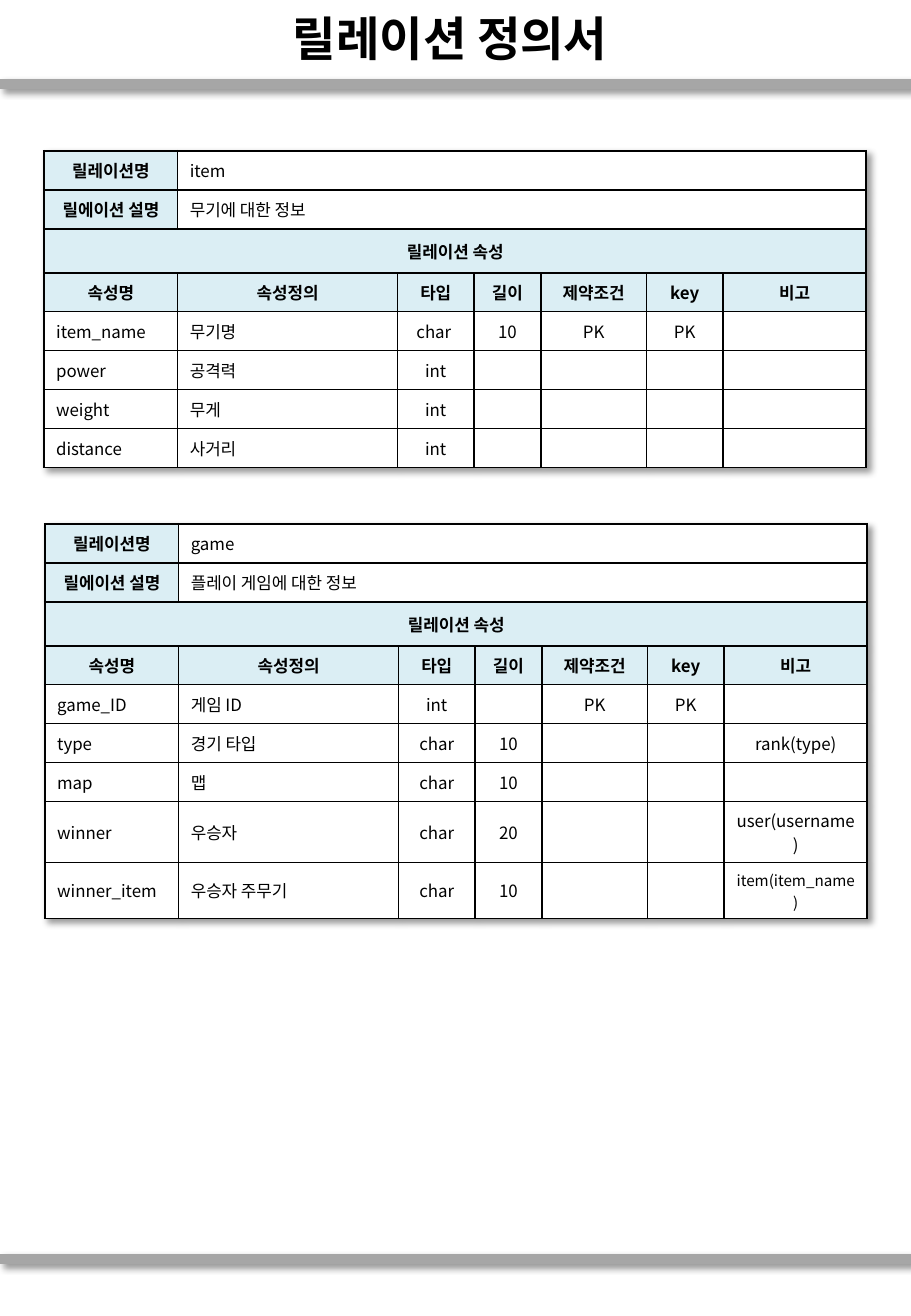
from dataclasses import dataclass

from lxml import etree
from pptx import Presentation
from pptx.dml.color import RGBColor
from pptx.enum.shapes import MSO_CONNECTOR
from pptx.enum.text import MSO_ANCHOR, MSO_AUTO_SIZE, PP_ALIGN
from pptx.oxml.ns import qn
from pptx.util import Pt

STRAIGHT = MSO_CONNECTOR.STRAIGHT
MIDDLE = MSO_ANCHOR.MIDDLE
NO_AUTOFIT = MSO_AUTO_SIZE.NONE
LEFT, CENTER = PP_ALIGN.LEFT, PP_ALIGN.CENTER
TITLE_ONLY = 5


@dataclass(frozen=True)
class Theme:
    text: str = "000000"
    label_fill: str = "DBEEF4"
    value_fill: str = "FFFFFF"
    rule: str = "A6A6A6"
    border: str = "000000"
    shadow: str = "000000"
    title_font: str = "Arial"
    table_font: str = "Noto Sans CJK KR"
    title_size: float = 28
    table_size: float = 10
    small_size: float = 9
    rule_width: float = 6
    inner_border: float = 1
    outer_border: float = 1.5


THEME = Theme()
SLIDE_WIDTH, SLIDE_HEIGHT = 540, 779.76
COLUMN_WIDTHS = (79.2, 130.3, 45.4, 39.6, 62.6, 45.4, 85)
ROW_HEIGHT, SECTION_HEIGHT = 23.1, 26
HEADINGS = ("속성명", "속성정의", "타입", "길이", "제약조건", "key", "비고")
HEADING_ROW = 3

ITEM_ATTRIBUTES = (
    ("item_name", "무기명", "char ", "10", "PK", "PK", ""),
    ("power", "공격력", "int", "", "", "", ""),
    ("weight", "무게", "int", "", "", "", ""),
    ("distance", "사거리", "int", "", "", "", ""),
)
GAME_ATTRIBUTES = (
    ("game_ID", "게임 ID", "int", "", "PK", "PK", ""),
    ("type", "경기 타입", "char", "10", "", "", "rank(type)"),
    ("map", "맵", "char", "10", "", "", ""),
    ("winner", "우승자", "char", "20", "", "", "user(username)"),
    ("winner_item", "우승자 주무기", "char", "10", "", "", "item(item_name)"),
)
SMALL_TEXTS = ("item(item_name)",)


def write_text(frame, text, *, size, font, bold=False, align=LEFT):
    paragraph = frame.paragraphs[0]
    paragraph.alignment = align
    if not text:
        # The end mark sets the height of an empty cell.
        etree.SubElement(paragraph._p, qn("a:endParaRPr"), sz=str(int(size * 100)))
        return
    run = paragraph.add_run()
    run.text = text
    run.font.size = Pt(size)
    run.font.bold = bold
    run.font.name = font
    run.font.color.rgb = RGBColor.from_string(THEME.text)
    etree.SubElement(run.font._element, qn("a:ea"), typeface=THEME.table_font)


def add_shadow(properties):
    effects = etree.SubElement(properties, qn("a:effectLst"))
    shadow = etree.SubElement(
        effects, qn("a:outerShdw"), blurRad=str(Pt(4)), dist=str(Pt(3)),
        dir="2700000", algn="tl", rotWithShape="0")
    color = etree.SubElement(shadow, qn("a:srgbClr"), val=THEME.shadow)
    etree.SubElement(color, qn("a:alpha"), val="40000")


def add_rule(slide, top):
    rule = slide.shapes.add_connector(STRAIGHT, 0, Pt(top), Pt(SLIDE_WIDTH), Pt(top))
    rule.line.color.rgb = RGBColor.from_string(THEME.rule)
    rule.line.width = Pt(THEME.rule_width)
    add_shadow(rule.element.spPr)


def add_title(slide, text):
    title = slide.shapes.title
    title.left, title.top = Pt(0), Pt(0.7)
    title.width, title.height = Pt(SLIDE_WIDTH), Pt(43.2)
    frame = title.text_frame
    frame.auto_size = NO_AUTOFIT
    frame.vertical_anchor = MIDDLE
    write_text(frame, text, size=THEME.title_size, font=THEME.title_font,
               bold=True, align=CENTER)


def set_borders(cell, widths):
    """Draw the left, right, top and bottom borders, in that order."""
    properties = cell._tc.get_or_add_tcPr()
    for side, width in zip("LRTB", widths):
        line = etree.SubElement(properties, qn(f"a:ln{side}"), w=str(Pt(width)))
        fill = etree.SubElement(line, qn("a:solidFill"))
        etree.SubElement(fill, qn("a:srgbClr"), val=THEME.border)


def format_cell(cell, text, *, label, align, borders):
    set_borders(cell, borders)
    cell.fill.solid()
    cell.fill.fore_color.rgb = RGBColor.from_string(
        THEME.label_fill if label else THEME.value_fill)
    cell.vertical_anchor = MIDDLE
    cell.margin_left = cell.margin_right = Pt(7.2)
    cell.margin_top = cell.margin_bottom = Pt(3.6)
    size = THEME.small_size if text in SMALL_TEXTS else THEME.table_size
    write_text(cell.text_frame, text, size=size, font=THEME.table_font,
               bold=label, align=align)


def add_relation_table(slide, left, top, name, description, attributes):
    """Add a relation table; the last text of a short row spans to the right edge."""
    rows = (("릴레이션명", name), ("릴에이션 설명", description),
            ("릴레이션 속성",), HEADINGS, *attributes)
    heights = [SECTION_HEIGHT if len(texts) == 1 else ROW_HEIGHT for texts in rows]
    graphic_frame = slide.shapes.add_table(
        len(rows), len(COLUMN_WIDTHS), Pt(left), Pt(top),
        Pt(sum(COLUMN_WIDTHS)), Pt(sum(heights)))
    table = graphic_frame.table
    table.first_row = table.horz_banding = False
    add_shadow(table._tbl.tblPr)
    for column, width in zip(table.columns, COLUMN_WIDTHS):
        column.width = Pt(width)

    last_column = len(COLUMN_WIDTHS) - 1
    inner, outer = THEME.inner_border, THEME.outer_border
    for row_index, texts in enumerate(rows):
        table.rows[row_index].height = Pt(heights[row_index])
        last_text = len(texts) - 1
        if last_text < last_column:
            table.cell(row_index, last_text).merge(table.cell(row_index, last_column))
        for column_index in range(len(COLUMN_WIDTHS)):
            is_heading = row_index == HEADING_ROW or len(texts) == 1
            label = is_heading or (row_index < HEADING_ROW and column_index == 0)
            centered = label or (row_index > HEADING_ROW and column_index > 1)
            at_right = column_index >= min(last_text, last_column) and (
                last_text < last_column or column_index == last_column)
            borders = (outer if column_index == 0 else inner,
                       outer if at_right else inner,
                       outer if row_index == 0 else inner,
                       inner)
            format_cell(table.cell(row_index, column_index),
                        texts[column_index] if column_index <= last_text else "",
                        label=label, align=CENTER if centered else LEFT,
                        borders=borders)


def main():
    presentation = Presentation()
    presentation.slide_width = Pt(SLIDE_WIDTH)
    presentation.slide_height = Pt(SLIDE_HEIGHT)
    slide = presentation.slides.add_slide(presentation.slide_layouts[TITLE_ONLY])
    for top in (49.7, 745.9):
        add_rule(slide, top)
    add_title(slide, "릴레이션 정의서 ")
    add_relation_table(slide, 26.1, 89.5, "item", "무기에 대한 정보", ITEM_ATTRIBUTES)
    add_relation_table(slide, 26.7, 310.5, "game", "플레이 게임에 대한 정보", GAME_ATTRIBUTES)
    presentation.save("out.pptx")


if __name__ == "__main__":
    main()
